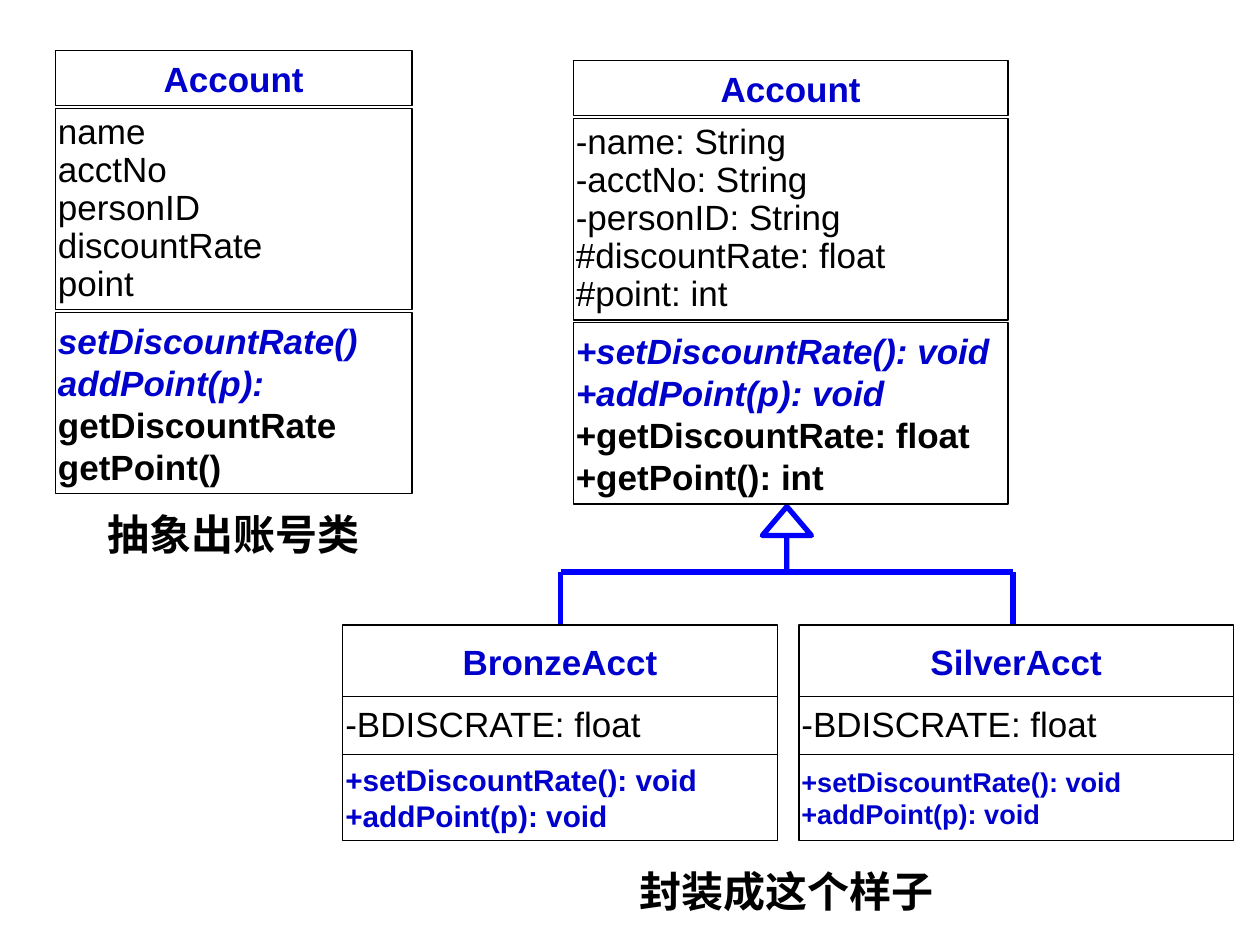
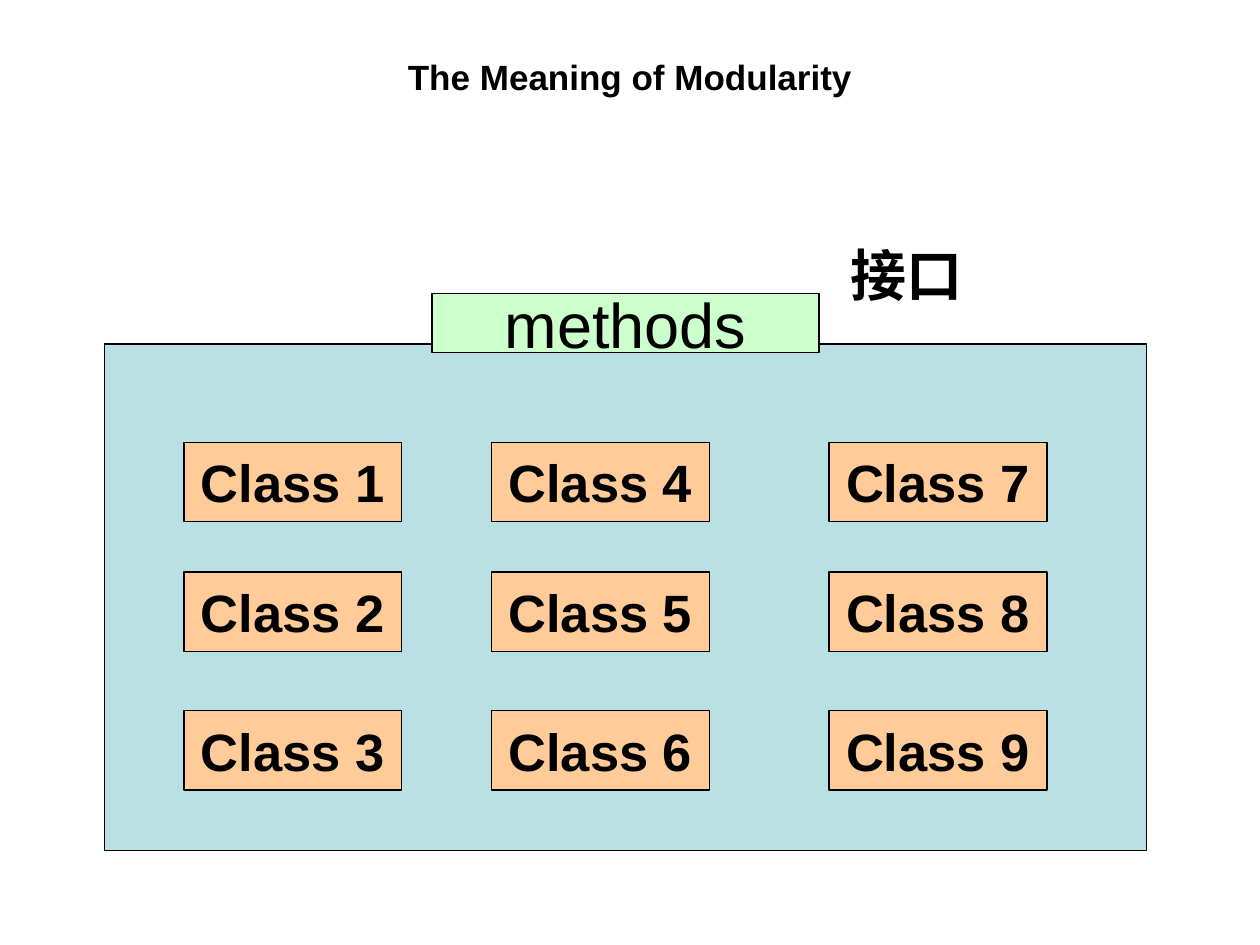
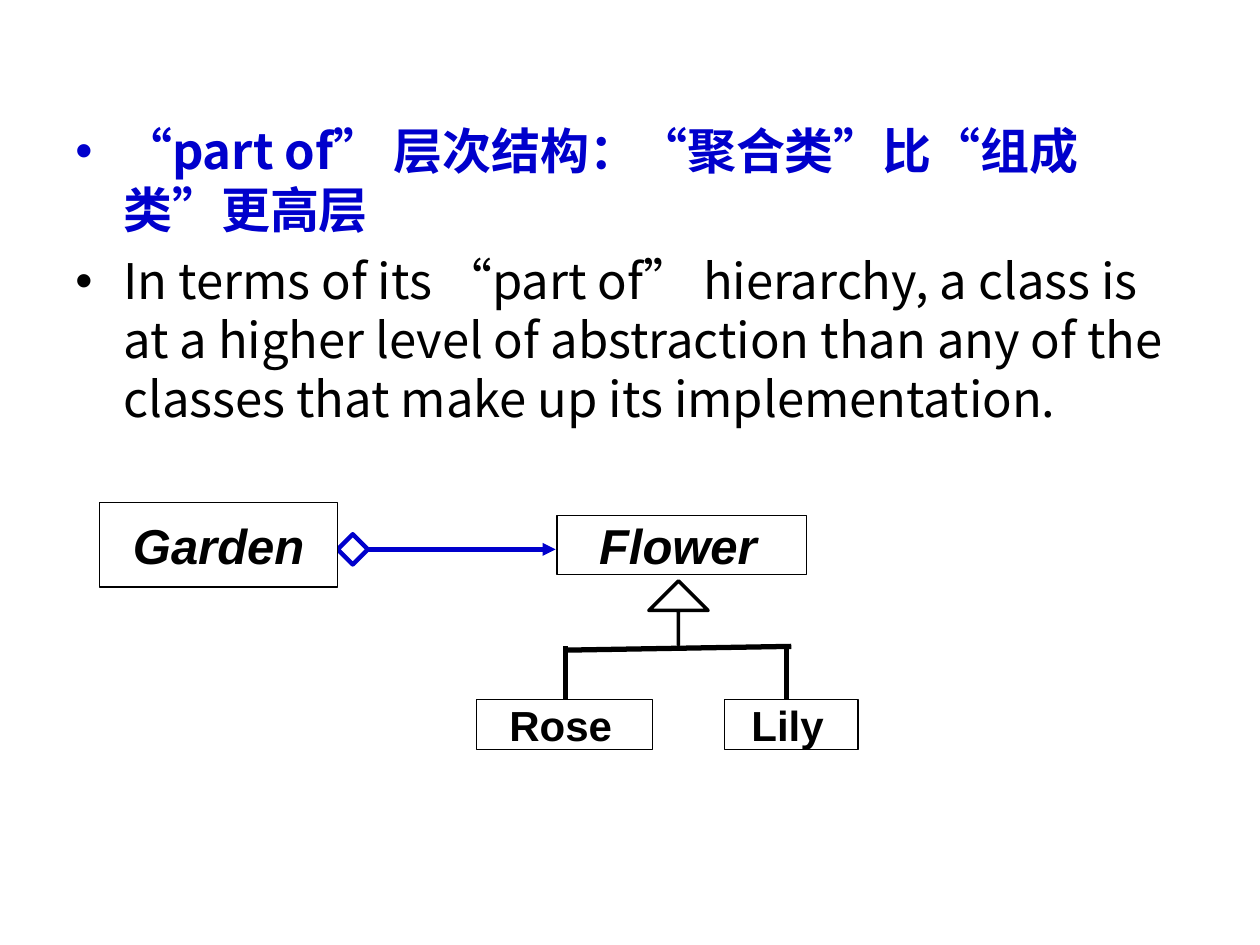
import dataclasses
import itertools

import lxml.etree
import pptx
import pptx.dml.color
import pptx.enum.shapes
import pptx.enum.text
import pptx.oxml.ns
import pptx.util

COLUMNS, ROWS = 100, 75
CELL = pptx.util.Inches(0.1)
LATIN, CHINESE = "Arial", "Noto Sans CJK SC"
BLACK, WHITE, NAVY, BLUE = "000000", "FFFFFF", "0000CC", "0000FF"
TEAL, ORANGE, GREEN = "BBE0E3", "FFCC99", "CCFFCC"
TITLE_ONLY, BLANK = 5, 6
MEMBER_INSETS, NODE_INSETS, WIDE_INSETS = (0.2, 0.5, 0.2, 0.5), (0.4, 0, 1, 0), (1, 0.5, 1, 0.5)

PRESET = pptx.enum.shapes.MSO_SHAPE
ALIGN = pptx.enum.text.PP_ALIGN
ANCHOR = pptx.enum.text.MSO_ANCHOR


@dataclasses.dataclass
class Box:
    """A region in grid cells, measured from the slide's top left corner."""
    left: float
    top: float
    width: float
    height: float

    def area(self, column, row, width, height):
        return Box(self.left + column, self.top + row, width, height)

    def emu(self):
        return [cells(v) for v in (self.left, self.top, self.width, self.height)]


@dataclasses.dataclass
class Style:
    size: float
    color: str = BLACK
    bold: bool = False
    italic: bool = False
    face: str = LATIN


SLIDE = Box(0, 0, COLUMNS, ROWS)


def cells(count):
    return pptx.util.Emu(round(count * CELL))


def rgb(color):
    return pptx.dml.color.RGBColor.from_string(color)


def add_element(parent, tag, **attributes):
    return lxml.etree.SubElement(parent, pptx.oxml.ns.qn(tag), attributes)


def add_run(paragraph, words, style):
    run = paragraph.add_run()
    run.text = words
    font = run.font
    font.size = pptx.util.Pt(style.size)
    font.bold, font.italic = style.bold, style.italic
    font.color.rgb = rgb(style.color)
    font.name = style.face
    add_element(font._element, "a:ea", typeface=CHINESE)


def write(shape, lines, align=ALIGN.CENTER, anchor=ANCHOR.MIDDLE, insets=WIDE_INSETS,
          wrap=True, spacing=None):
    """Fill a shape with (words, style) lines, one paragraph each."""
    frame = shape.text_frame
    frame.word_wrap, frame.vertical_anchor = wrap, anchor
    frame.margin_left, frame.margin_top, frame.margin_right, frame.margin_bottom = map(cells, insets)
    for index, (words, style) in enumerate(lines):
        paragraph = frame.add_paragraph() if index else frame.paragraphs[0]
        paragraph.alignment = align
        if spacing:
            paragraph.line_spacing = spacing
        add_run(paragraph, words, style)
    return frame


def add_shape(slide, box, fill=WHITE, line=BLACK, weight=0.75, preset=PRESET.RECTANGLE):
    shape = slide.shapes.add_shape(preset, *box.emu())
    shape.shadow.inherit = False
    shape.fill.solid()
    shape.fill.fore_color.rgb = rgb(fill)
    shape.line.color.rgb = rgb(line)
    shape.line.width = pptx.util.Pt(weight)
    return shape


def add_line(slide, start, end, color, weight, arrow=False):
    line = slide.shapes.add_connector(
        pptx.enum.shapes.MSO_CONNECTOR.STRAIGHT, *map(cells, (*start, *end)))
    line.line.color.rgb = rgb(color)
    line.line.width = pptx.util.Pt(weight)
    if arrow:
        add_element(line.line._get_or_add_ln(), "a:tailEnd", type="triangle")
    add_element(line._element.spPr, "a:effectLst")


def add_label(slide, box, words, style, align=ALIGN.CENTER):
    write(slide.shapes.add_textbox(*box.emu()), [(words, style)], align, ANCHOR.TOP)


def add_class(slide, box, heights, gap, name, attributes, methods):
    """Stack the name, attribute and method compartments of a UML class."""
    tops = [0, *itertools.accumulate(height + gap for height in heights)]
    header, fields, operations = (
        add_shape(slide, box.area(0, top, box.width, height)) for top, height in zip(tops, heights))
    write(header, [(name, Style(20, NAVY, bold=True))])
    write(fields, [(words, Style(20)) for words in attributes],
          ALIGN.JUSTIFY, insets=MEMBER_INSETS, spacing=0.9)
    write(operations, methods, ALIGN.JUSTIFY, insets=MEMBER_INSETS)


def add_inheritance(slide, box, arrow_left, arrow_width, head, color, arrow_weight,
                    slant=0, overhang=0):
    """Draw a hollow arrow over a bar whose two drops reach the box's bottom."""
    bar, right, bottom = box.top + 5.2, box.left + box.width, box.top + box.height
    add_line(slide, (box.left, bar + slant), (right + overhang, bar), color, 3)
    for x in (box.left, right):
        add_line(slide, (x, bar), (x, bottom), color, 3)
    arrow = add_shape(slide, box.area(arrow_left, 0, arrow_width, 5.1),
                      line=color, weight=arrow_weight, preset=PRESET.UP_ARROW)
    arrow.adjustments[0], arrow.adjustments[1] = 0, head


def account_methods(signatures):
    """Two abstract methods, then two concrete ones."""
    abstract, concrete = Style(20, NAVY, True, True), Style(20, bold=True)
    return list(zip(signatures, (abstract, abstract, concrete, concrete)))


def account_slide(slide, box):
    account_heights, subclass_heights = (4.4, 16, 14.4), (5.8, 4.7, 6.8)
    caption = Style(24, bold=True, face=CHINESE)
    add_class(slide, box.area(4.4, 4, 28.3, 35.3), account_heights, 0.2, "Account",
              ["name", "acctNo", "personID", "discountRate", "point"],
              account_methods(["setDiscountRate()", "addPoint(p):",
                               "getDiscountRate", "getPoint()"]))
    add_label(slide, box.area(4.4, 39.9, 28.3, 5), "抽象出账号类", caption)

    add_inheritance(slide, box.area(44.5, 40.2, 35.9, 12.6), 16, 3.9, 0.59, BLUE, 3)
    add_class(slide, box.area(45.5, 4.8, 34.5, 35.2), account_heights, 0.2, "Account",
              ["-name: String", "-acctNo: String", "-personID: String",
               "#discountRate: float", "#point: int"],
              account_methods(["+setDiscountRate(): void", "+addPoint(p): void",
                               "+getDiscountRate: float", "+getPoint(): int"]))
    for left, name, size in ((27.2, "BronzeAcct", 17), (63.4, "SilverAcct", 15.5)):
        style = Style(size, NAVY, bold=True)
        add_class(slide, box.area(left, 49.6, 34.5, 17.1), subclass_heights, -0.1, name,
                  ["-BDISCRATE: float"],
                  [("+setDiscountRate(): void", style), ("+addPoint(p): void", style)])
    add_label(slide, box.area(48.3, 68.2, 28.3, 5), "封装成这个样子", caption)


def class_module(slide, box):
    """Draw the module panel with its classes, numbered down each column."""
    add_shape(slide, box, TEAL)
    places = itertools.product((6.3, 30.7, 57.5), (7.8, 18.1, 29.1))
    for number, (column, row) in enumerate(places, 1):
        tile = add_shape(slide, box.area(column, row, 17.3, 6.3), ORANGE)
        write(tile, [(f"Class {number}", Style(30, bold=True))], wrap=False)
    methods = add_shape(slide, box.area(26, -4, 30.7, 4.7), GREEN)
    write(methods, [("methods", Style(36))], wrap=False)
    add_label(slide, box.area(58.2, -8.7, 11.8, 6.4), "接口", Style(32, bold=True), ALIGN.LEFT)


def modularity_slide(slide, box):
    title = slide.shapes.title
    title.left, title.top, title.width, title.height = box.area(5, 3.8, 90, 4.6).emu()
    write(title, [("The Meaning of Modularity", Style(20, bold=True))])
    class_module(slide, box.area(8.3, 27.3, 82.7, 40.2))


def add_bullets(slide, box, lines):
    frame = write(slide.shapes.add_textbox(*box.emu()), lines, ALIGN.LEFT, ANCHOR.TOP)
    for index, (paragraph, (_, style)) in enumerate(zip(frame.paragraphs, lines)):
        if index:
            paragraph.space_before = pptx.util.Pt(7)
        properties = paragraph._p.get_or_add_pPr()
        properties.set("marL", str(cells(3.8)))
        properties.set("indent", str(-cells(3.8)))
        bullet_color = add_element(properties, "a:buClr")
        add_element(bullet_color, "a:srgbClr", val=style.color)
        add_element(properties, "a:buFont", typeface=LATIN)
        add_element(properties, "a:buChar", char="•")


def add_garden_diagram(slide, box):
    add_line(slide, (box.left + 21.3, box.top + 3.7), (box.left + 36.2, box.top + 3.7),
             NAVY, 2.5, arrow=True)
    add_shape(slide, box.area(18.9, 2.5, 2.4, 2.4), line=NAVY, weight=2.5, preset=PRESET.DIAMOND)
    add_inheritance(slide, box.area(37, 6.2, 17.5, 10.2), 6.6, 4.7, 0.5, BLACK, 2,
                    slant=0.3, overhang=0.4)
    for place, name, size, italic, insets in (
            ((0, 0, 18.9, 6.7), "Garden", 28, True, WIDE_INSETS),
            ((36.3, 1, 19.8, 4.7), "Flower", 28, True, NODE_INSETS),
            ((29.9, 15.6, 14, 4), "Rose", 24, False, NODE_INSETS),
            ((49.6, 15.6, 10.6, 4), "Lily", 24, False, NODE_INSETS)):
        write(add_shape(slide, box.area(*place)), [(name, Style(size, BLACK, True, italic))],
              insets=insets)


def hierarchy_slide(slide, box):
    add_bullets(slide, box.area(5, 9.1, 90, 26), [
        ("“part of” 层次结构：“聚合类”比“组成类”更高层", Style(28, NAVY, True, face=CHINESE)),
        ("In terms of its “part of” hierarchy, a class is at a higher level of abstraction "
         "than any of the classes that make up its implementation.", Style(28, face=CHINESE))])
    add_garden_diagram(slide, box.area(7.9, 39.9, 60.2, 19.6))


def main():
    deck = pptx.Presentation()
    deck.slide_width, deck.slide_height = cells(COLUMNS), cells(ROWS)
    for layout, build in ((BLANK, account_slide), (TITLE_ONLY, modularity_slide),
                          (BLANK, hierarchy_slide)):
        build(deck.slides.add_slide(deck.slide_layouts[layout]), SLIDE)
    deck.save("out.pptx")


if __name__ == "__main__":
    main()
